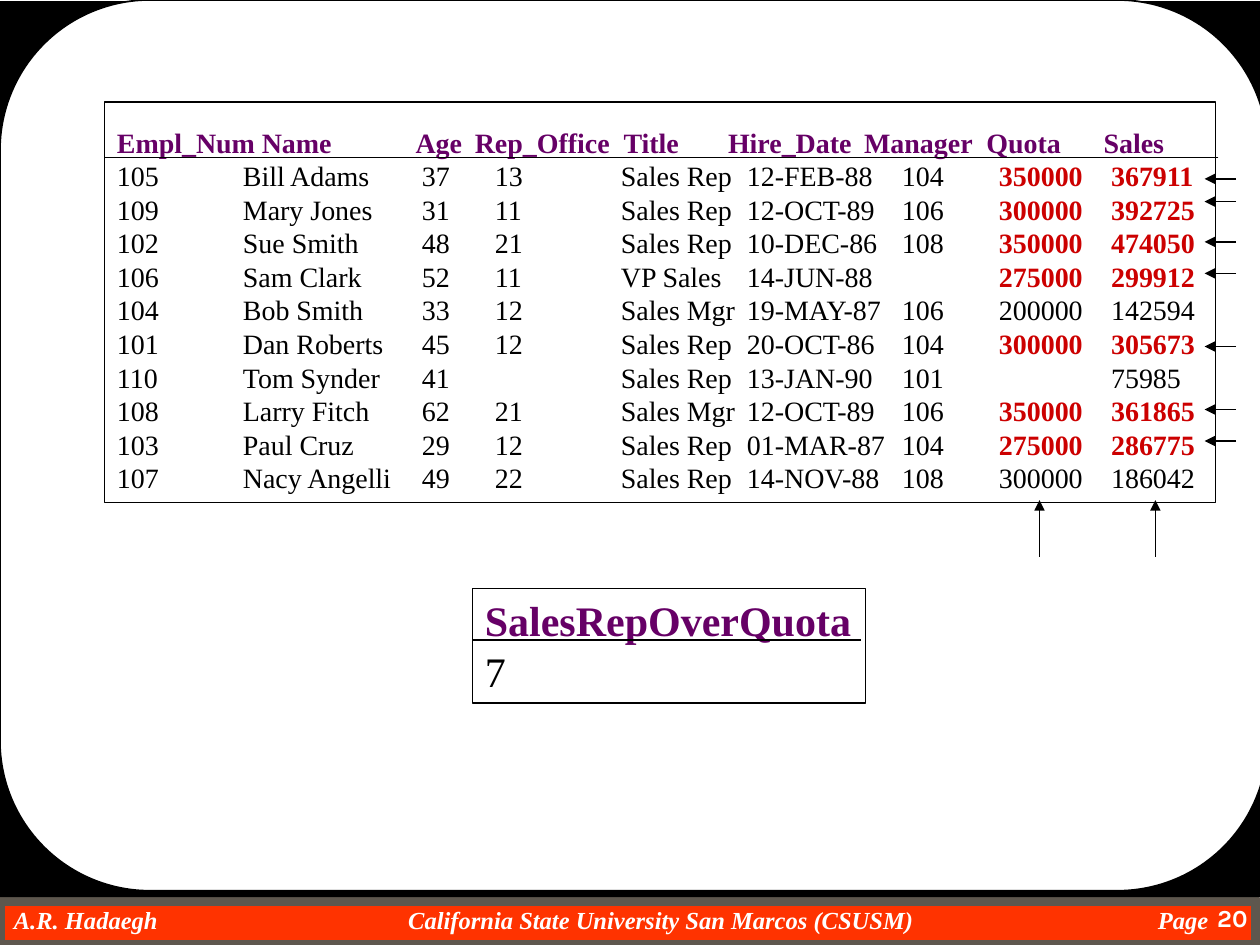
from pptx import Presentation
from pptx.dml.color import RGBColor
from pptx.enum.shapes import MSO_CONNECTOR, MSO_SHAPE
from pptx.enum.text import MSO_ANCHOR, PP_ALIGN
from pptx.oxml.ns import qn
from pptx.util import Inches, Pt
from lxml.etree import SubElement

COLORS = {"black": "000000", "white": "FFFFFF", "orange": "FF3300",
          "gray": "5E574E", "purple": "660066", "red": "CC0000"}
SERIF = "Times New Roman"

HEADER = ["Empl_Num", "Name", "Age", "Rep_Office", "Title",
          "Hire_Date", "Manager", "Quota", "Sales"]
HEADER_TABS = [1.15, 2.37, 2.84, 4.02, 4.85, 5.93, 6.9, 7.83]
ROW_TABS = [1, 2.42, 3, 4, 5, 6.23, 7, 7.89]
EMPLOYEES = [
    ["105", "Bill Adams", "37", "13", "Sales Rep", "12-FEB-88", "104", "350000", "367911"],
    ["109", "Mary Jones", "31", "11", "Sales Rep", "12-OCT-89", "106", "300000", "392725"],
    ["102", "Sue Smith", "48", "21", "Sales Rep", "10-DEC-86", "108", "350000", "474050"],
    ["106", "Sam Clark", "52", "11", "VP Sales", "14-JUN-88", "", "275000", "299912"],
    ["104", "Bob Smith", "33", "12", "Sales Mgr", "19-MAY-87", "106", "200000", "142594"],
    ["101", "Dan Roberts", "45", "12", "Sales Rep", "20-OCT-86", "104", "300000", "305673"],
    ["110", "Tom Synder", "41", "", "Sales Rep", "13-JAN-90", "101", "", "75985"],
    ["108", "Larry Fitch", "62", "21", "Sales Mgr", "12-OCT-89", "106", "350000", "361865"],
    ["103", "Paul Cruz", "29", "12", "Sales Rep", "01-MAR-87", "104", "275000", "286775"],
    ["107", "Nacy Angelli", "49", "22", "Sales Rep", "14-NOV-88", "108", "300000", "186042"],
]


class SlideBuilder:
    """Holds the style and the current slide, and adds each kind of element."""

    def __init__(self, s):
        self.s = s

    def color(self, name):
        return RGBColor.from_string(COLORS[name])

    def shape(self, box, fill=None, line=None, width=0.75, kind=MSO_SHAPE.RECTANGLE):
        sp = self.s.shapes.add_shape(kind, *map(Inches, box))
        sp.shadow.inherit = False
        if fill:
            sp.fill.solid()
            sp.fill.fore_color.rgb = self.color(fill)
        else:
            sp.fill.background()
        if line:
            sp.line.color.rgb = self.color(line)
            sp.line.width = Pt(width)
        else:
            sp.line.fill.background()
        tf = sp.text_frame
        tf.word_wrap = False
        tf.vertical_anchor = MSO_ANCHOR.TOP
        return sp

    def textbox(self, box):
        tf = self.s.shapes.add_textbox(*map(Inches, box)).text_frame
        tf.word_wrap = True
        return tf

    def paragraph(self, tf, runs, size, first=False, tabs=(), spacing=None,
                  align=PP_ALIGN.LEFT, font=SERIF, italic=False):
        p = tf.paragraphs[0] if first else tf.add_paragraph()
        p.alignment = align
        if tabs:
            tab_list = SubElement(p._p.get_or_add_pPr(), qn("a:tabLst"))
            for pos in tabs:
                SubElement(tab_list, qn("a:tab"), pos=str(Inches(pos)), algn="l")
        if spacing:
            p.line_spacing = Pt(spacing)
        for text, color, bold in runs:
            r = p.add_run()
            r.text = text
            r.font.name, r.font.size = font, Pt(size)
            r.font.bold, r.font.italic = bold, italic
            r.font.color.rgb = self.color(color)

    def line(self, start, end, arrow=False):
        ends = map(Inches, (*start, *end))
        cx = self.s.shapes.add_connector(MSO_CONNECTOR.STRAIGHT, *ends)
        cx.line.color.rgb = self.color("black")
        cx.line.width = Pt(0.75)
        if arrow:
            SubElement(cx.line._get_or_add_ln(), qn("a:tailEnd"), type="triangle")
        SubElement(cx._element.spPr, qn("a:effectLst"))


def main():
    prs = Presentation()
    prs.slide_width, prs.slide_height = Inches(10), Inches(7.5)
    b = SlideBuilder(prs.slides.add_slide(prs.slide_layouts[6]))

    b.shape((0, 7.15, 9.97, 0.35), "orange", "gray", 6)
    tf = b.textbox((0, 7.18, 9.68, 0.23))
    tf.margin_left = Inches(0.11)
    tf.margin_right = tf.margin_top = tf.margin_bottom = 0
    footer = "A.R. Hadaegh\tCalifornia State University San Marcos (CSUSM)\tPage"
    b.paragraph(tf, [(footer, "white", True)], 14, first=True,
                tabs=[3.13, 9.08], italic=True)
    b.shape((0, 0.01, 10, 7.11), "black")
    panel = b.shape((0, 0, 10.06, 7.07), "white", "black", 1, MSO_SHAPE.ROUNDED_RECTANGLE)
    panel.adjustments[0] = 1.19 / 7.07
    b.paragraph(b.textbox((9.25, 7.12, 0.75, 0.38)), [("20", "white", True)], 14,
                first=True, align=PP_ALIGN.RIGHT, font="Karla")

    tf = b.shape((3.75, 4.67, 3.12, 0.91), line="black").text_frame
    b.paragraph(tf, [("SalesRepOverQuota", "purple", True)], 24, first=True, spacing=28.8)
    b.paragraph(tf, [("7", "black", False)], 24, spacing=28.8)

    tf = b.shape((0.83, 0.81, 8.82, 3.18), "white", "black").text_frame
    b.paragraph(tf, [("\t".join(HEADER), "purple", True)], 16, first=True,
                tabs=HEADER_TABS, spacing=28.8)
    for row in EMPLOYEES:
        quota, sales = row[-2:]
        over = quota != "" and int(sales) > int(quota)
        runs = [("\t".join(row[:-2]) + "\t", "black", False),
                (f"{quota}\t{sales}", "red" if over else "black", over)]
        b.paragraph(tf, runs, 16, tabs=ROW_TABS, spacing=19.2)

    for x in (8.25, 9.17):
        b.line((x, 4.42), (x, 3.97), arrow=True)
    for y in (1.42, 1.6, 1.92, 2.17, 2.75, 3.25, 3.5):
        b.line((9.81, y), (9.56, y), arrow=True)
    b.line((9.67, 1.25), (0.83, 1.25))
    b.line((3.75, 5.08), (6.83, 5.08))

    prs.save("out.pptx")


if __name__ == "__main__":
    main()
